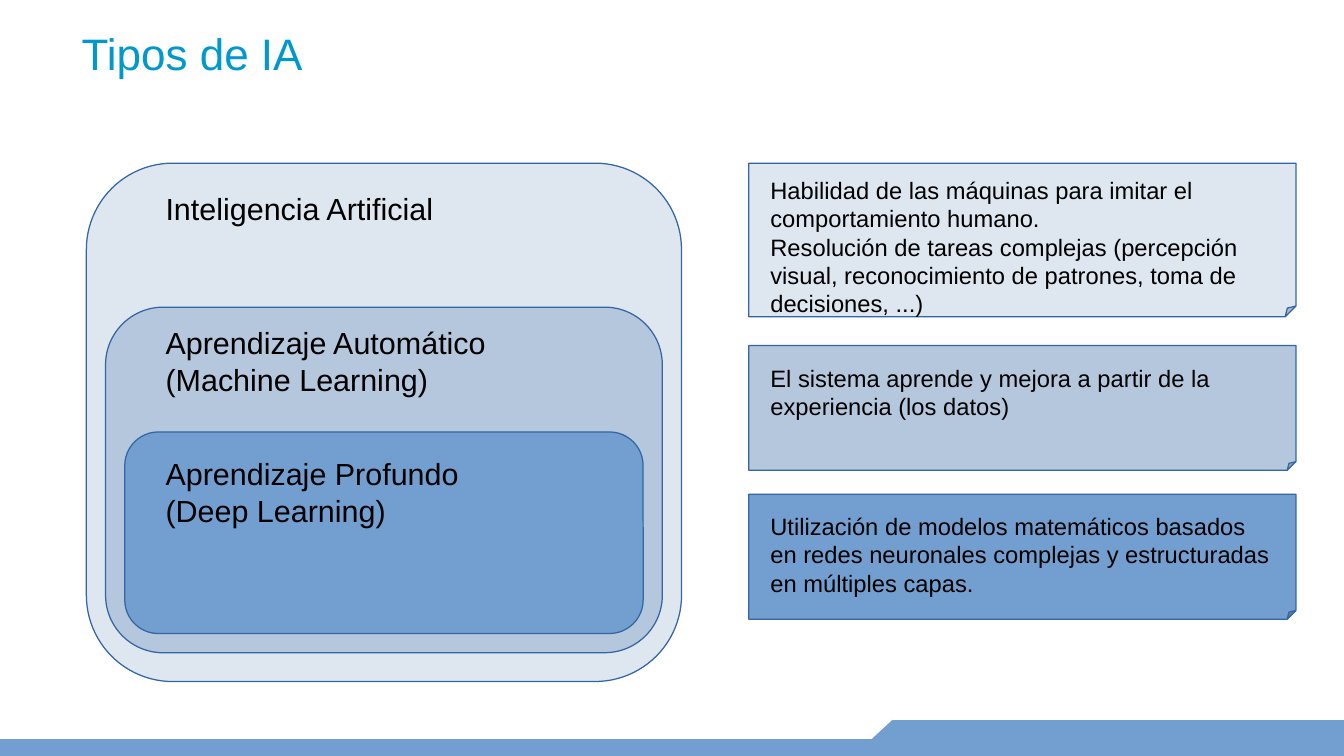
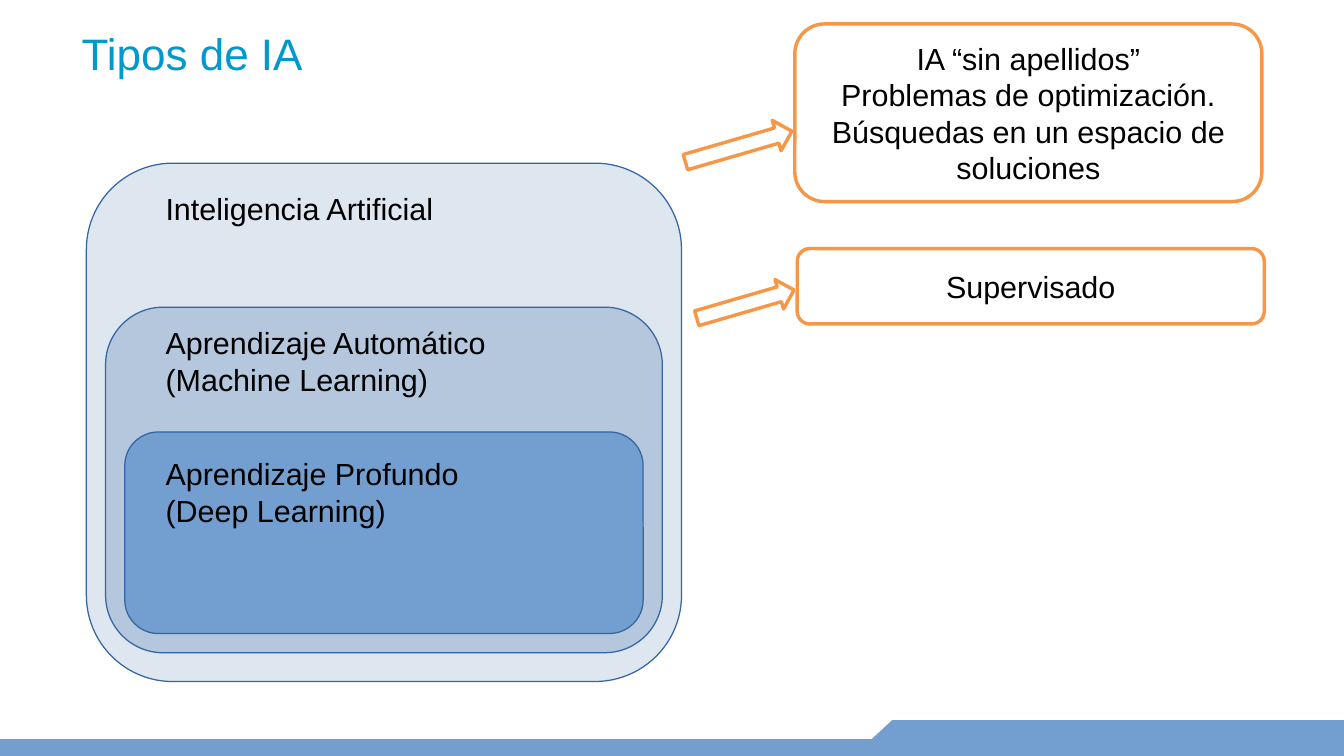
from lxml import etree
from pptx import Presentation
from pptx.dml.color import RGBColor
from pptx.enum.shapes import MSO_SHAPE
from pptx.enum.text import MSO_ANCHOR, PP_ALIGN
from pptx.oxml.ns import qn
from pptx.util import Cm, Pt

# Grid: 28 columns by 15.75 rows, each cell 1 cm
COLS, ROWS = 28, 15.75
FONT = "Arial"

WHITE = RGBColor(0xFF, 0xFF, 0xFF)
BLACK = RGBColor(0x00, 0x00, 0x00)
CYAN = RGBColor(0x00, 0x98, 0xCD)
EDGE = RGBColor(0x34, 0x65, 0xA4)
ORANGE = RGBColor(0xF7, 0x96, 0x46)
PALE = RGBColor(0xDE, 0xE6, 0xEF)
MID = RGBColor(0xB4, 0xC7, 0xDC)
DEEP = RGBColor(0x72, 0x9F, 0xCF)
TONES = (PALE, MID, DEEP)

RECT = MSO_SHAPE.RECTANGLE
ROUND = MSO_SHAPE.ROUNDED_RECTANGLE
FOLD = MSO_SHAPE.FOLDED_CORNER
ARROW = MSO_SHAPE.DOWN_ARROW
TOP, MIDDLE = MSO_ANCHOR.TOP, MSO_ANCHOR.MIDDLE
LEFT, CENTER = PP_ALIGN.LEFT, PP_ALIGN.CENTER

# Regions: left, top, width, height
TITLE = (1.7, 0.57, 25.17, 1.05)
RINGS = (1.8, 3.4, 12.4, 10.8)
CARDS = (15.6, 3.4, 11.4, 9.5)
CALLS = (16.56, 0.5, 9.73, 6.25)
FOOT = (0, 15.01, COLS, ROWS - 15.01)

# Ring: side inset, top inset, bottom inset, label drop, label lines
LEVELS = (
    (0, 0, 0, 0.43, ["Inteligencia Artificial"]),
    (0.4, 3, 0.6, 0.23, ["Aprendizaje Automático", "(Machine Learning)"]),
    (0.8, 5.6, 1, 0.36, ["Aprendizaje Profundo", "(Deep Learning)"]),
)

# Card: top, height, text drop, lines
NOTES = (
    (0, 3.2, 0.13, [
        "Habilidad de las máquinas para imitar el comportamiento humano.",
        "Resolución de tareas complejas (percepción visual, reconocimiento "
        "de patrones, toma de decisiones, ...)"]),
    (3.8, 2.6, 0.25, [
        "El sistema aprende y mejora a partir de la experiencia (los datos)"]),
    (6.9, 2.6, 0.23, [
        "Utilización de modelos matemáticos basados en redes neuronales "
        "complejas y estructuradas en múltiples capas."]),
)

# Callout: left, top, height, lines, arrow box relative to the callout
ASIDES = (
    (0, 0, 3.7, [
        "IA “sin apellidos”",
        "Problemas de optimización. Búsquedas en un espacio de soluciones"],
     (-1.5, 1.4, 0.66, 2.31)),
    (0.05, 4.68, 1.57, ["Supervisado"], (-1.4, 0.1, 0.64, 2.11)),
)
TILT = 253.8


def paint(shape, fill, line, width=0.75):
    shape.shadow.inherit = False
    shape.fill.solid()
    shape.fill.fore_color.rgb = fill
    shape.line.color.rgb = line
    shape.line.width = Pt(width)
    return shape


def draw(slide, kind, box, fill, line, width=0.75):
    shape = slide.shapes.add_shape(kind, *map(Cm, box))
    return paint(shape, fill, line, width)


def crease(card, share):
    # The folded corner's size is only reachable through XML
    guides = next(card.element.iter(qn("a:avLst")))
    for old in list(guides):
        guides.remove(old)
    etree.SubElement(guides, qn("a:gd"), name="adj",
                     fmla=f"val {round(share * 100000)}")


def write(shape, lines, size=18, color=BLACK, align=LEFT, anchor=TOP):
    frame = shape.text_frame
    frame.word_wrap = True
    frame.vertical_anchor = anchor
    for i, line in enumerate(lines):
        para = frame.paragraphs[0] if i == 0 else frame.add_paragraph()
        para.alignment = align
        run = para.add_run()
        run.text = line
        run.font.name = FONT
        run.font.size = Pt(size)
        run.font.color.rgb = color
    return frame


def label(slide, box, lines, **form):
    return write(slide.shapes.add_textbox(*map(Cm, box)), lines, **form)


def head(slide, box, text):
    frame = label(slide, box, [text], size=26, color=CYAN, anchor=MIDDLE)
    frame.margin_left = frame.margin_right = 0
    frame.margin_top = frame.margin_bottom = 0


def rings(slide, box):
    x, y, w, h = box
    for tone, (side, top, base, drop, lines) in zip(TONES, LEVELS):
        ring = (x + side, y + top, w - 2 * side, h - top - base)
        draw(slide, ROUND, ring, tone, EDGE)
        label(slide, (x + 1.4, y + top + drop, 8.4, 0.84 * len(lines)), lines)


def cards(slide, box):
    x, y, w, _ = box
    for tone, (top, tall, drop, lines) in zip(TONES, NOTES):
        card = draw(slide, FOLD, (x, y + top, w, tall), tone, EDGE)
        crease(card, 0.07)
        area = (x + 0.2, y + top + drop, w - 0.4, tall - drop)
        label(slide, area, lines, size=14)


def calls(slide, box):
    x, y, w, _ = box
    for left, top, tall, lines, (dx, dy, aw, ah) in ASIDES:
        cx, cy = x + left, y + top
        call = draw(slide, ROUND, (cx, cy, w, tall), WHITE, ORANGE, 2)
        write(call, lines, align=CENTER, anchor=MIDDLE)
        arrow = draw(slide, ARROW, (cx + dx, cy + dy, aw, ah),
                     WHITE, ORANGE, 2)
        arrow.rotation = TILT


def foot(slide, box):
    x, y, w, h = box
    step, slope, thin = x + 18.6, 0.8, 0.35
    draw(slide, RECT, (x, y + h - thin, w, thin), DEEP, DEEP)
    draw(slide, RECT, (step, y, x + w - step, h), DEEP, DEEP)
    # Slanted joint between the thin and the thick band
    path = slide.shapes.build_freeform(Cm(step), Cm(y))
    path.add_line_segments([(Cm(step - slope), Cm(y + h)),
                            (Cm(step), Cm(y + h))], close=True)
    paint(path.convert_to_shape(), DEEP, DEEP)


def page(deck, side, box):
    slide = deck.slides.add_slide(deck.slide_layouts[6])
    head(slide, TITLE, "Tipos de IA")
    rings(slide, RINGS)
    foot(slide, FOOT)
    side(slide, box)


def main():
    deck = Presentation()
    deck.slide_width, deck.slide_height = Cm(COLS), Cm(ROWS)
    page(deck, cards, CARDS)
    page(deck, calls, CALLS)
    deck.save("out.pptx")


if __name__ == "__main__":
    main()
